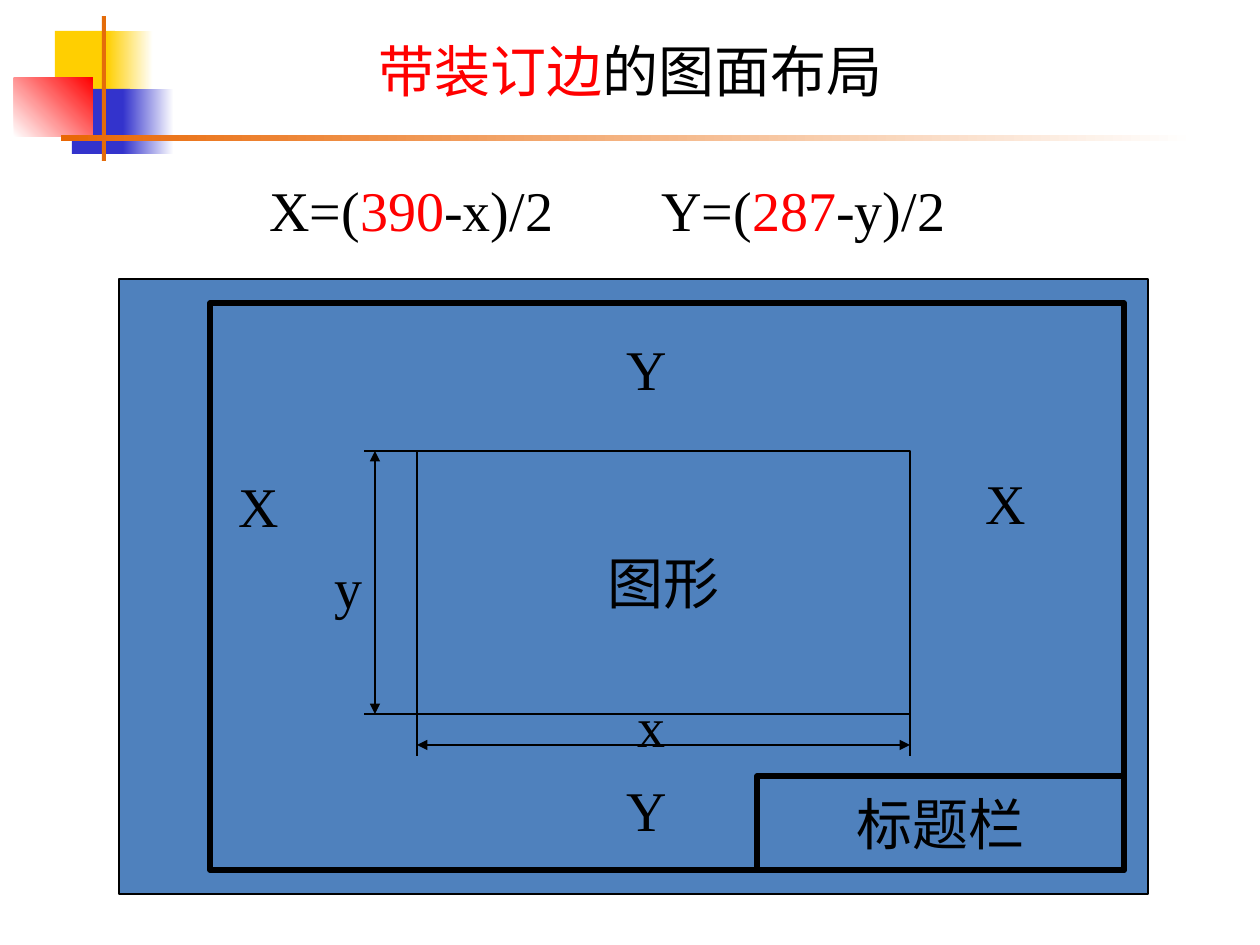
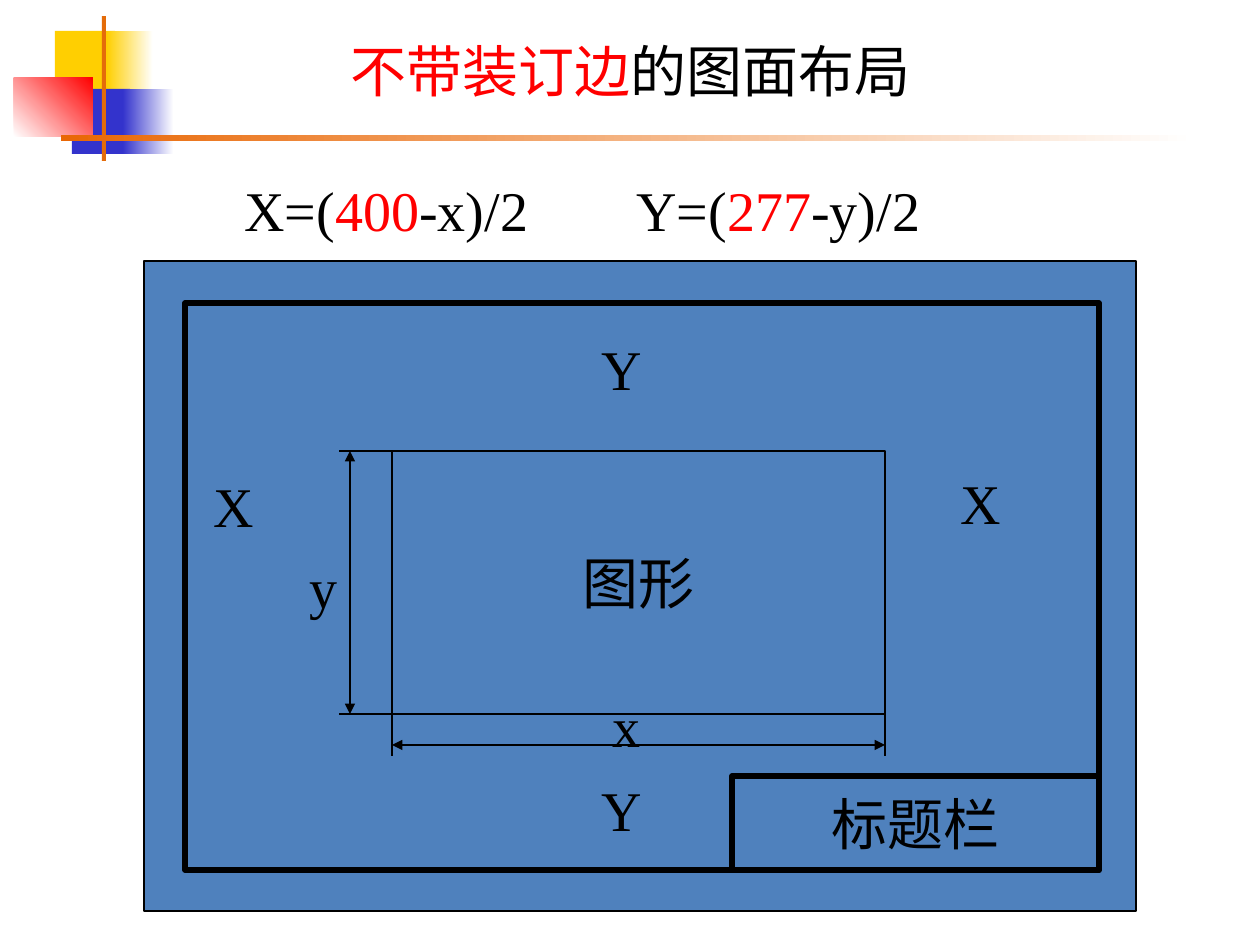
from dataclasses import dataclass

from lxml import etree
from pptx import Presentation
from pptx import util as u
from pptx.dml.color import RGBColor
from pptx.enum import shapes, text
from pptx.oxml import ns

SCALE = 914400 / 126  # EMU in one px


@dataclass(frozen=True)
class Theme:
    black: str = "000000"
    white: str = "FFFFFF"
    red: str = "FF0000"
    yellow: str = "FFCF01"
    violet: str = "3333CC"
    orange: str = "E46C0A"
    rule: str = "E96705"
    paper: str = "4F81BD"
    latin: str = "Times New Roman"
    cjk: str = "Noto Sans CJK SC"
    size: int = 32
    thin: float = 0.75
    thick: float = 3


T = Theme()


def add_block(slide, box, colours, line_width=None, angle=0):
    """Rectangle with a solid fill (one colour) or a gradient (two colours)."""
    block = slide.shapes.add_shape(shapes.MSO_SHAPE.RECTANGLE, *[round(v * SCALE) for v in box])
    block.shadow.inherit = False
    if len(colours) == 1:
        block.fill.solid()
        block.fill.fore_color.rgb = RGBColor.from_string(colours[0])
    else:
        block.fill.gradient()
        block.fill.gradient_angle = angle
        for stop, colour in zip(block.fill.gradient_stops, colours):
            stop.color.rgb = RGBColor.from_string(colour)
    if line_width:
        block.line.color.rgb = RGBColor.from_string(T.black)
        block.line.width = u.Pt(line_width)
    else:
        block.line.fill.background()
    return block


def write(holder, runs, latin=T.latin, tab=None, **frame_format):
    """Fill a shape with (words, colour) runs in one paragraph."""
    frame = holder.text_frame
    align = frame_format.pop("alignment", text.PP_ALIGN.LEFT)
    for name, value in frame_format.items():
        setattr(frame, name, value)
    paragraph = frame.paragraphs[0]
    paragraph.alignment = align
    if tab:
        stops = etree.SubElement(paragraph._p.get_or_add_pPr(), ns.qn("a:tabLst"))
        etree.SubElement(stops, ns.qn("a:tab"), pos=str(round(tab * SCALE)), algn="l")
    for words, colour in runs:
        run = paragraph.add_run()
        run.text = words
        for name, value in {"size": u.Pt(T.size), "name": latin}.items():
            setattr(run.font, name, value)
        run.font.color.rgb = RGBColor.from_string(colour)
        etree.SubElement(run._r.get_or_add_rPr(), ns.qn("a:ea"), typeface=T.cjk)


CENTRED = {"alignment": text.PP_ALIGN.CENTER, "word_wrap": False,
           "vertical_anchor": text.MSO_ANCHOR.MIDDLE}
GROWING = {"auto_size": text.MSO_AUTO_SIZE.SHAPE_TO_FIT_TEXT}

ORNAMENT = [  # box, colours, gradient angle
    ((55, 31, 60, 65), [T.yellow], 0),
    ((107, 31, 46, 65), [T.yellow, T.white], 0),
    ((72, 89, 58, 65), [T.violet], 0),
    ((123, 89, 51, 65), [T.violet, T.white], 0),
    ((14, 78, 79, 59), [T.white, T.red], 45),
    ((102, 16, 4, 145), [T.orange], 0),
    ((61, 135, 1134, 6), [T.rule, T.white], 0),
]

# Left edges below belong to the layout with a binding margin.
LEFT, TOP, RIGHT, BOTTOM = 417, 451, 910, 714
FRAME = (210, 303, 914, 567)
TITLE_BLOCK = (757, 776, 367, 94)
DIMENSIONS = [  # x1, y1, x2, y2, has arrowheads
    (LEFT, BOTTOM, LEFT, 756, False),
    (RIGHT, BOTTOM, RIGHT, 756, False),
    (LEFT, 745, RIGHT, 745, True),
    (LEFT, BOTTOM, 364, BOTTOM, False),
    (LEFT, TOP, 364, TOP, False),
    (375, BOTTOM, 375, TOP, True),
]
LABELS = [("x", 625, 685, 53), ("y", 322, 546, 53), ("X", 226, 465, 66),
          ("X", 973, 462, 66), ("Y", 614, 328, 66), ("Y", 614, 769, 66)]

LAYOUTS = [  # red title words, usable width, usable height, sheet box, shift
    ("带装订边", "390", "287", (119, 279, 1029, 615), 0),
    ("不带装订边", "400", "277", (144, 261, 992, 650), -25),
]

deck = Presentation()
deck.slide_width, deck.slide_height = round(1260 * SCALE), round(945 * SCALE)

for binding, width, height, sheet, shift in LAYOUTS:
    slide = deck.slides.add_slide(deck.slide_layouts[6])
    for box, colours, angle in ORNAMENT:
        add_block(slide, box, colours, angle=angle)

    add_block(slide, sheet, [T.paper], T.thin)
    for (x, *rest), line_width, words in [
        (FRAME, T.thick, None),
        (TITLE_BLOCK, T.thick, "标题栏"),
        ((LEFT, TOP, RIGHT - LEFT, BOTTOM - TOP), T.thin, "图形"),
    ]:
        part = add_block(slide, (x + shift, *rest), [T.paper], line_width)
        if words:
            write(part, [(words, T.black)], **CENTRED)

    for x1, y1, x2, y2, arrows in DIMENSIONS:
        ends = [round(v * SCALE) for v in (x1 + shift, y1, x2 + shift, y2)]
        dimension = slide.shapes.add_connector(shapes.MSO_CONNECTOR.STRAIGHT, *ends)
        dimension.line.color.rgb = RGBColor.from_string(T.black)
        dimension.line.width = u.Pt(T.thin)
        if arrows:
            for end in ("a:headEnd", "a:tailEnd"):
                etree.SubElement(dimension.line._get_or_add_ln(), ns.qn(end), type="triangle")
        etree.SubElement(dimension._element.spPr, ns.qn("a:effectLst"))

    formula = [("X=(", T.black), (width, T.red), ("-x)/2\tY=(", T.black),
               (height, T.red), ("-y)/2", T.black)]
    title = [(binding, T.red), ("的图面布局", T.black)]
    captions = [((x + shift, y, w, 80), [(letter, T.black)], {"word_wrap": False})
                for letter, x, y, w in LABELS]
    captions += [
        ((257 + shift, 169, 709, 81), formula, {"word_wrap": True, "tab": 392}),
        ((190, 30, 881, 81), title, {"word_wrap": True, "latin": T.cjk,
                                     "alignment": text.PP_ALIGN.CENTER}),
    ]
    for box, runs, style in captions:
        caption = slide.shapes.add_textbox(*[round(v * SCALE) for v in box])
        write(caption, runs, **GROWING, **style)

deck.save("out.pptx")
